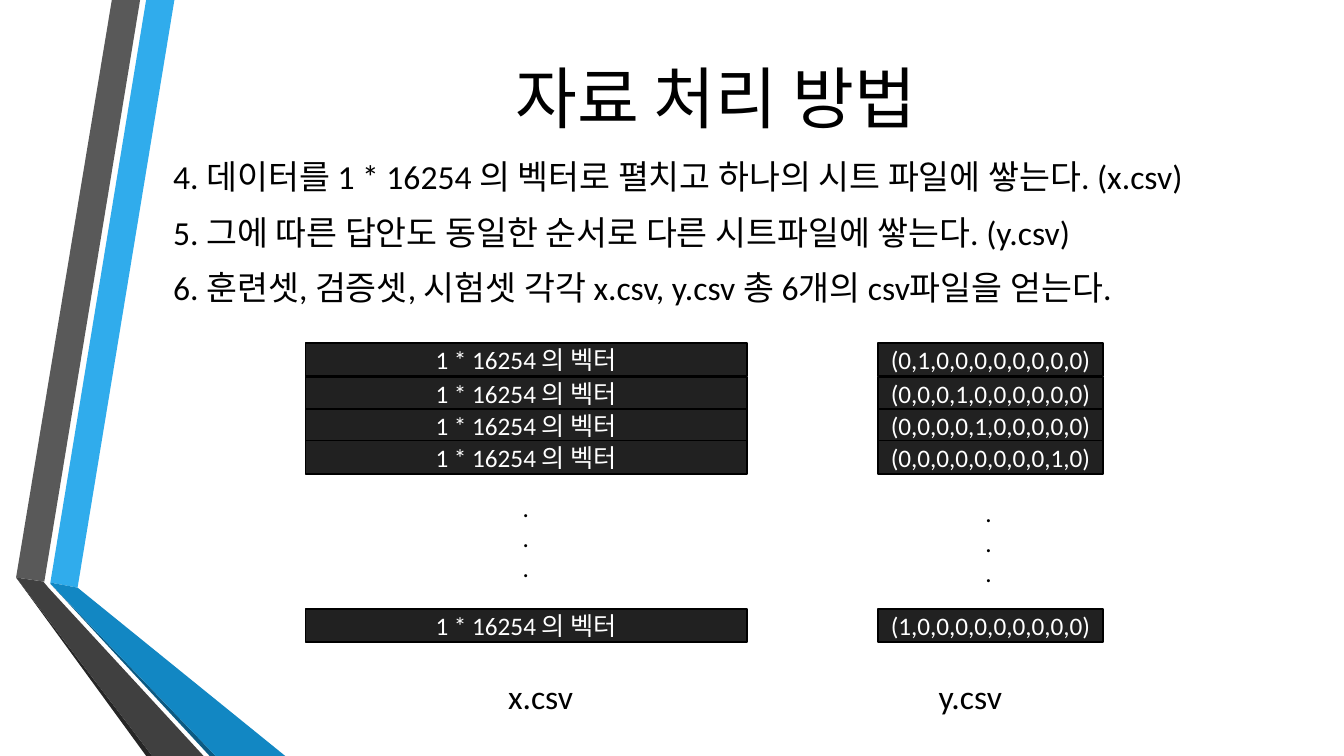
from dataclasses import dataclass

from pptx import Presentation
from pptx.dml.color import RGBColor as Color
from pptx.enum.shapes import MSO_SHAPE as Shape
from pptx.enum.text import MSO_ANCHOR as Anchor, PP_ALIGN as Align
from pptx.util import Inches, Pt


@dataclass(frozen=True)
class Theme:
    font: str = "Calibri"
    ink: str = "000000"
    pale: str = "FFFFFF"
    bar: str = "212121"
    blue: str = "30ACEC"
    deep: str = "1287C3"
    navy: str = "0C5A82"
    gray: str = "595959"
    dark: str = "404040"
    black: str = "262626"
    title: int = 48
    body: int = 24
    small: int = 18
    edge: float = 1.25


THEME = Theme()

BANDS = [
    (THEME.blue, [(0.5, 5.78), (0.77, 5.83), (1.73, 0), (1.45, 0)]),
    (THEME.gray, [(1.39, 0), (1.11, 0), (0.16, 5.73), (0.44, 5.77)]),
    (THEME.black, [(0.16, 5.73), (1.45, 7.5), (1.51, 7.5)]),
    (THEME.navy, [(0.5, 5.79), (2.08, 7.5), (2.14, 7.5)]),
    (THEME.deep, [(0.5, 5.79), (2.14, 7.5), (2.83, 7.5), (0.77, 5.83), (0.5, 5.78)]),
    (THEME.dark, [(2.02, 7.5), (0.48, 5.83), (0.43, 5.77), (0.16, 5.73), (1.51, 7.5)]),
]

STEPS = [
    "4. 데이터를 1 * 16254 의 벡터로 펼치고 하나의 시트 파일에 쌓는다. (x.csv)",
    "5. 그에 따른 답안도 동일한 순서로 다른 시트파일에 쌓는다. (y.csv)",
    "6. 훈련셋, 검증셋, 시험셋 각각 x.csv, y.csv 총 6개의 csv파일을 얻는다.",
]

VECTOR = "1 * 16254 의 벡터"
ROWS = [(3.4, 1), (3.74, 3), (4.06, 4), (4.37, 8), (6.04, 0)]
DIGITS = 10


def set_fill(shape, color):
    shape.shadow.inherit = False
    shape.fill.solid()
    shape.fill.fore_color.rgb = Color.from_string(color)


def write(frame, lines, size, color=THEME.ink, align=Align.LEFT, before=0, after=0):
    frame.word_wrap = True
    frame.text = "\n".join(lines)
    for para in frame.paragraphs:
        para.alignment = align
        para.space_before = Pt(before)
        para.space_after = Pt(after)
        para.font.name = THEME.font
        para.font.size = Pt(size)
        para.font.color.rgb = Color.from_string(color)


def add_band(slide, color, points):
    first, *rest = [(Inches(x), Inches(y)) for x, y in points]
    pen = slide.shapes.build_freeform(*first)
    pen.add_line_segments(rest)
    band = pen.convert_to_shape()
    set_fill(band, color)
    band.line.fill.background()


def add_text(slide, box, lines, size, anchor=Anchor.TOP, **style):
    frame = slide.shapes.add_textbox(*map(Inches, box)).text_frame
    frame.vertical_anchor = anchor
    write(frame, lines, size, **style)
    return frame


def add_bar(slide, left, top, width, label):
    bar = slide.shapes.add_shape(
        Shape.RECTANGLE, Inches(left), Inches(top), Inches(width), Inches(0.33))
    set_fill(bar, THEME.bar)
    bar.line.color.rgb = Color.from_string(THEME.ink)
    bar.line.width = Pt(THEME.edge)
    bar.text_frame.vertical_anchor = Anchor.MIDDLE
    write(bar.text_frame, [label], THEME.small, THEME.pale, Align.CENTER)


def add_dots(slide, left, top):
    frame = add_text(slide, (left, top, 0.11, 1.01), "...", THEME.small,
                     align=Align.CENTER)
    frame.margin_left = frame.margin_right = 0


def one_hot(hot):
    return "(" + ",".join(str(int(i == hot)) for i in range(DIGITS)) + ")"


def main():
    deck = Presentation()
    deck.slide_width, deck.slide_height = Inches(13.33), Inches(7.5)
    slide = deck.slides.add_slide(deck.slide_layouts[6])

    for color, points in BANDS:
        add_band(slide, color, points)

    add_text(slide, (1.62, 0, 10.96, 1.92), ["자료 처리 방법"], THEME.title,
             Anchor.MIDDLE, align=Align.CENTER)
    add_text(slide, (1.62, 1.2, 10.96, 2.2), STEPS, THEME.body,
             Anchor.MIDDLE, before=4.8, after=6)

    for top, hot in ROWS:
        add_bar(slide, 3.03, top, 4.38, VECTOR)
        add_bar(slide, 8.71, top, 2.23, one_hot(hot))

    add_dots(slide, 5.16, 4.83)
    add_dots(slide, 9.75, 4.88)
    for left, name in [(4.94, "x.csv"), (9.21, "y.csv")]:
        add_text(slide, (left, 6.66, 0.99, 0.5), [name], THEME.body)

    deck.save("out.pptx")


main()
